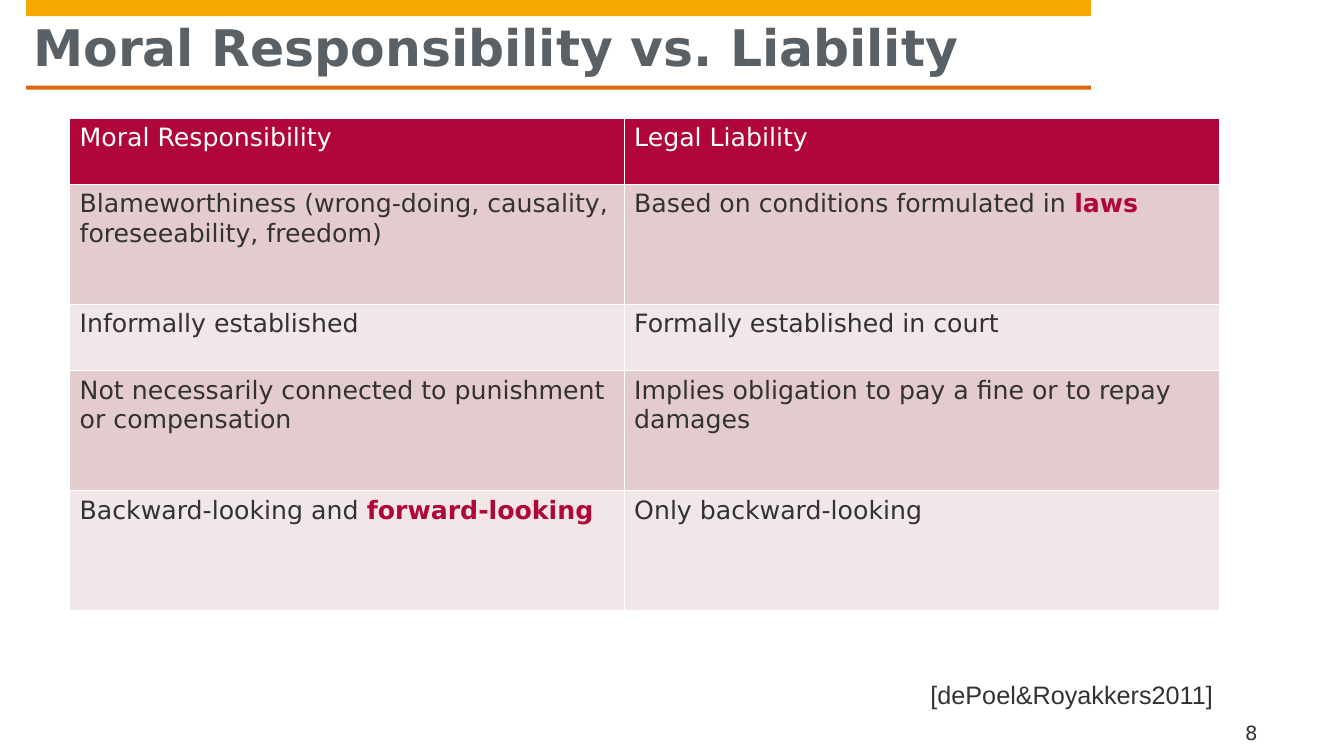
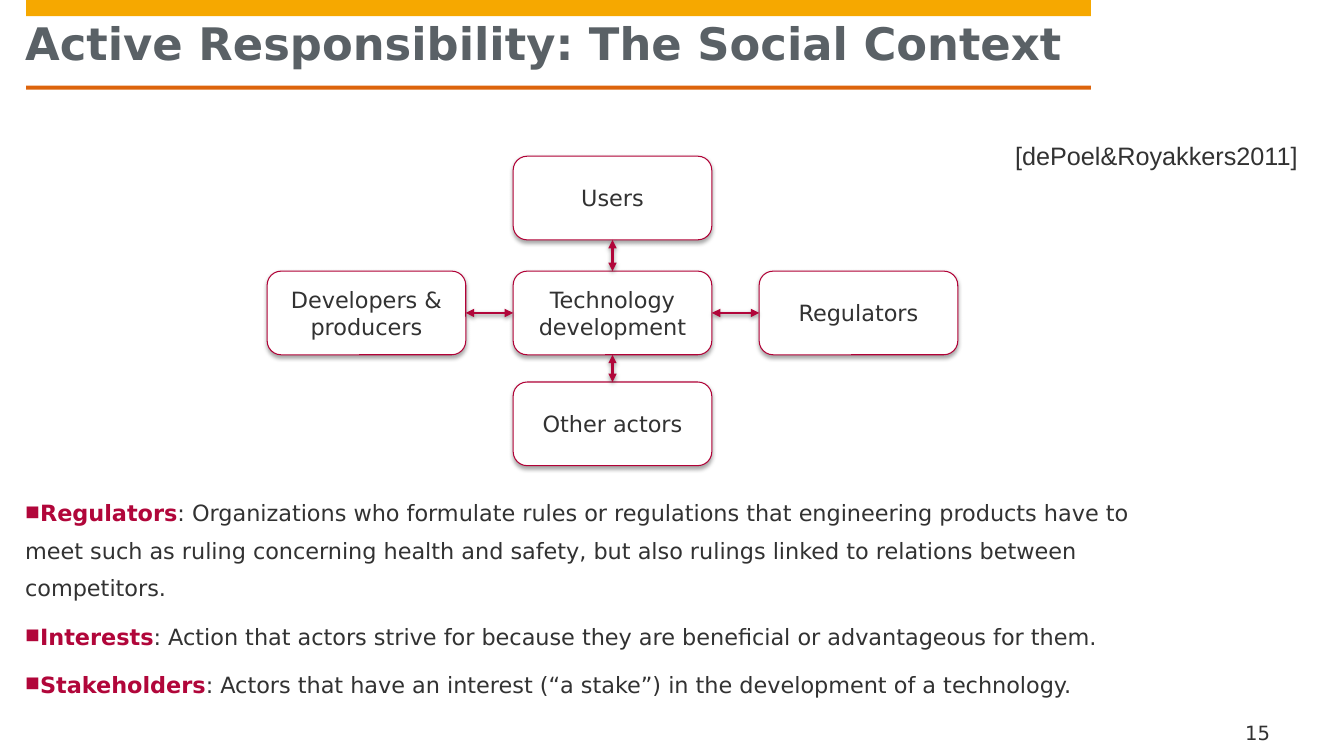
import pptx
import pptx.util
import pptx.dml.color
import pptx.enum.shapes
import pptx.enum.text
import pptx.oxml
import pptx.oxml.ns

PX = 9144  # EMU per px, 100 px to the inch
COLORS = {
    "amber": "F6A800", "orange": "DD640C", "title": "5A6166", "text": "323232",
    "crimson": "B1063A", "outline": "B10237", "white": "FFFFFF", "black": "000000",
    "band_dark": "E4CCCE", "band_light": "F2E7E8",
}
FONT = "DejaVu Sans"
BARS = [((26, 0, 1056, 16), "amber"), ((26, 85, 1056, 4), "orange")]
NUMBER_BOX = (1223, 709, 84, 29)
CITATION = "[dePoel&Royakkers2011]"

# Text between asterisks is set bold in crimson.
LIABILITY = {
    "title": "Moral Responsibility vs. Liability", "title_box": (33, 0, 1071, 76),
    "title_size": 36, "number": "8", "citation_box": (913, 669, 310, 40),
}
TABLE_AT = (69, 117)
COL_WIDTHS = [550, 591]
ROW_HEIGHTS = [66, 119, 66, 119, 119]
ROWS = [
    ("Moral Responsibility", "Legal Liability"),
    ("Blameworthiness (wrong-doing, causality, foreseeability, freedom)",
     "Based on conditions formulated in *laws*"),
    ("Informally established", "Formally established in court"),
    ("Not necessarily connected to punishment or compensation",
     "Implies obligation to pay a fine or to repay damages"),
    ("Backward-looking and *forward-looking*", "Only backward-looking"),
]

CONTEXT = {
    "title": "Active Responsibility: The Social Context", "title_box": (25, 0, 1102, 70),
    "title_size": 32, "number": "15", "citation_box": (997, 134, 310, 40),
}
ACTOR_SIZE = (197, 83)
COLUMN_X = [265, 509, 753]
ROW_Y = [155, 269, 379]
CENTER = "Technology development"
ACTORS = {  # name: (column, row)
    "Developers & producers": (0, 1), CENTER: (1, 1), "Regulators": (2, 1),
    "Other actors": (1, 2), "Users": (1, 0),
}
TOP, LEFT, BOTTOM, RIGHT = range(4)
LINKS = [  # actor, side of actor, side of center
    ("Regulators", LEFT, RIGHT), ("Developers & producers", RIGHT, LEFT),
    ("Users", BOTTOM, TOP), ("Other actors", TOP, BOTTOM),
]
DEFINITIONS_BOX = (25, 485, 1114, 207)
DEFINITIONS = [
    "*Regulators*: Organizations who formulate rules or regulations that engineering products "
    "have to meet such as ruling concerning health and safety, but also rulings linked to "
    "relations between competitors.",
    "*Interests*: Action that actors strive for because they are beneficial or advantageous "
    "for them.",
    "*Stakeholders*: Actors that have an interest (“a stake”) in the development of a technology.",
]


def emu(box):
    return [v * PX for v in box]


def rgb(color):
    return pptx.dml.color.RGBColor.from_string(COLORS[color])


def append_xml(parent, xml):
    tag_end = min(i for i in (xml.find(" "), xml.find(">"), xml.find("/")) if i > 0)
    ns = " " + pptx.oxml.ns.nsdecls("a")
    parent.append(pptx.oxml.parse_xml(xml[:tag_end] + ns + xml[tag_end:]))


def add_runs(p, text, size, color="text", font=FONT, bold=False):
    """Add text to p, with each part between asterisks bold and crimson."""
    for i, part in enumerate(text.split("*")):
        if not part:
            continue
        marked = i % 2 == 1
        r = p.add_run()
        r.text = part
        r.font.size = pptx.util.Pt(size)
        r.font.name = font
        r.font.bold = bold or marked
        r.font.color.rgb = rgb("crimson" if marked else color)


def add_text_box(slide, box, insets=(10, 5, 10, 5), wrap=True):
    tf = slide.shapes.add_textbox(*emu(box)).text_frame
    tf.word_wrap = wrap
    tf.margin_left, tf.margin_top, tf.margin_right, tf.margin_bottom = emu(insets)
    return tf


def add_shape(slide, kind, box, fill):
    sp = slide.shapes.add_shape(kind, *emu(box))
    sp.fill.solid()
    sp.fill.fore_color.rgb = rgb(fill)
    sp.line.fill.background()
    return sp


def add_shadow(sp, distance, opacity):
    append_xml(sp._element.spPr,
               f'<a:effectLst><a:outerShdw blurRad="{int(pptx.util.Pt(3.1))}" '
               f'dist="{int(pptx.util.Pt(distance))}" dir="5400000" rotWithShape="0">'
               f'<a:srgbClr val="{COLORS["black"]}"><a:alpha val="{opacity * 1000}"/>'
               '</a:srgbClr></a:outerShdw></a:effectLst>')


def add_slide(prs, head):
    """Add a slide with the shared bars, title, page number and citation."""
    s = prs.slides.add_slide(prs.slide_layouts[6])
    for box, fill in BARS:
        bar = add_shape(s, pptx.enum.shapes.MSO_SHAPE.RECTANGLE, box, fill)
        bar.shadow.inherit = False
    tf = add_text_box(s, head["title_box"], (0, 16, 0, 0))
    add_runs(tf.paragraphs[0], head["title"], head["title_size"], "title", bold=True)
    tf = add_text_box(s, NUMBER_BOX, (12, 0, 0, 0))
    tf.vertical_anchor = pptx.enum.text.MSO_ANCHOR.BOTTOM
    add_runs(tf.paragraphs[0], head["number"], 14)
    tf = add_text_box(s, head["citation_box"], wrap=False)
    add_runs(tf.paragraphs[0], CITATION, 18, font="Arial")
    return s


def add_comparison(slide):
    size = (sum(COL_WIDTHS), sum(ROW_HEIGHTS))
    table = slide.shapes.add_table(len(ROWS), len(COL_WIDTHS), *emu(TABLE_AT + size)).table
    table.first_row = table.horz_banding = False
    for column, width in zip(table.columns, COL_WIDTHS):
        column.width = width * PX
    for i, (row, height) in enumerate(zip(table.rows, ROW_HEIGHTS)):
        row.height = height * PX
        fill = "crimson" if i == 0 else "band_dark" if i % 2 else "band_light"
        for cell, text in zip(row.cells, ROWS[i]):
            tc_pr = cell._tc.get_or_add_tcPr()
            for side in "LRTB":
                append_xml(tc_pr, f'<a:ln{side} w="12700"><a:solidFill><a:srgbClr '
                                  f'val="{COLORS["white"]}"/></a:solidFill></a:ln{side}>')
            cell.fill.solid()
            cell.fill.fore_color.rgb = rgb(fill)
            add_runs(cell.text_frame.paragraphs[0], text, 18, "text" if i else "white")


def add_actor(slide, name, column, row):
    sp = add_shape(slide, pptx.enum.shapes.MSO_SHAPE.ROUNDED_RECTANGLE,
                   (COLUMN_X[column], ROW_Y[row]) + ACTOR_SIZE, "white")
    sp.line.color.rgb = rgb("outline")
    sp.line.width = pptx.util.Pt(0.75)
    add_shadow(sp, 1.8, 35)
    tf = sp.text_frame
    tf.word_wrap = True
    tf.vertical_anchor = pptx.enum.text.MSO_ANCHOR.MIDDLE
    p = tf.paragraphs[0]
    p.alignment = pptx.enum.text.PP_ALIGN.CENTER
    add_runs(p, name, 16)
    return sp


def add_link(slide, start, start_side, end, end_side):
    cx = slide.shapes.add_connector(pptx.enum.shapes.MSO_CONNECTOR.STRAIGHT, 0, 0, 0, 0)
    cx.begin_connect(start, start_side)
    cx.end_connect(end, end_side)
    cx.line.color.rgb = rgb("crimson")
    cx.line.width = pptx.util.Pt(2)
    for arrow_end in ("headEnd", "tailEnd"):
        append_xml(cx.line._get_or_add_ln(), f'<a:{arrow_end} type="triangle"/>')
    add_shadow(cx, 1.6, 38)


def add_definitions(slide):
    tf = add_text_box(slide, DEFINITIONS_BOX, (0, 0, 0, 0))
    for i, text in enumerate(DEFINITIONS):
        p = tf.add_paragraph() if i else tf.paragraphs[0]
        p.line_spacing = pptx.util.Pt(26.7)
        p.space_before = p.space_after = pptx.util.Pt(4)
        p_pr = p._p.get_or_add_pPr()
        append_xml(p_pr, f'<a:buClr><a:srgbClr val="{COLORS["crimson"]}"/></a:buClr>')
        append_xml(p_pr, '<a:buSzPct val="80000"/>')
        append_xml(p_pr, '<a:buChar char="◼"/>')
        add_runs(p, text, 16)


def main():
    prs = pptx.Presentation()
    prs.slide_width, prs.slide_height = emu((1333, 750))

    add_comparison(add_slide(prs, LIABILITY))

    s = add_slide(prs, CONTEXT)
    add_definitions(s)
    actors = {name: add_actor(s, name, *cell) for name, cell in ACTORS.items()}
    for name, side, center_side in LINKS:
        add_link(s, actors[name], side, actors[CENTER], center_side)

    prs.save("out.pptx")


if __name__ == "__main__":
    main()
